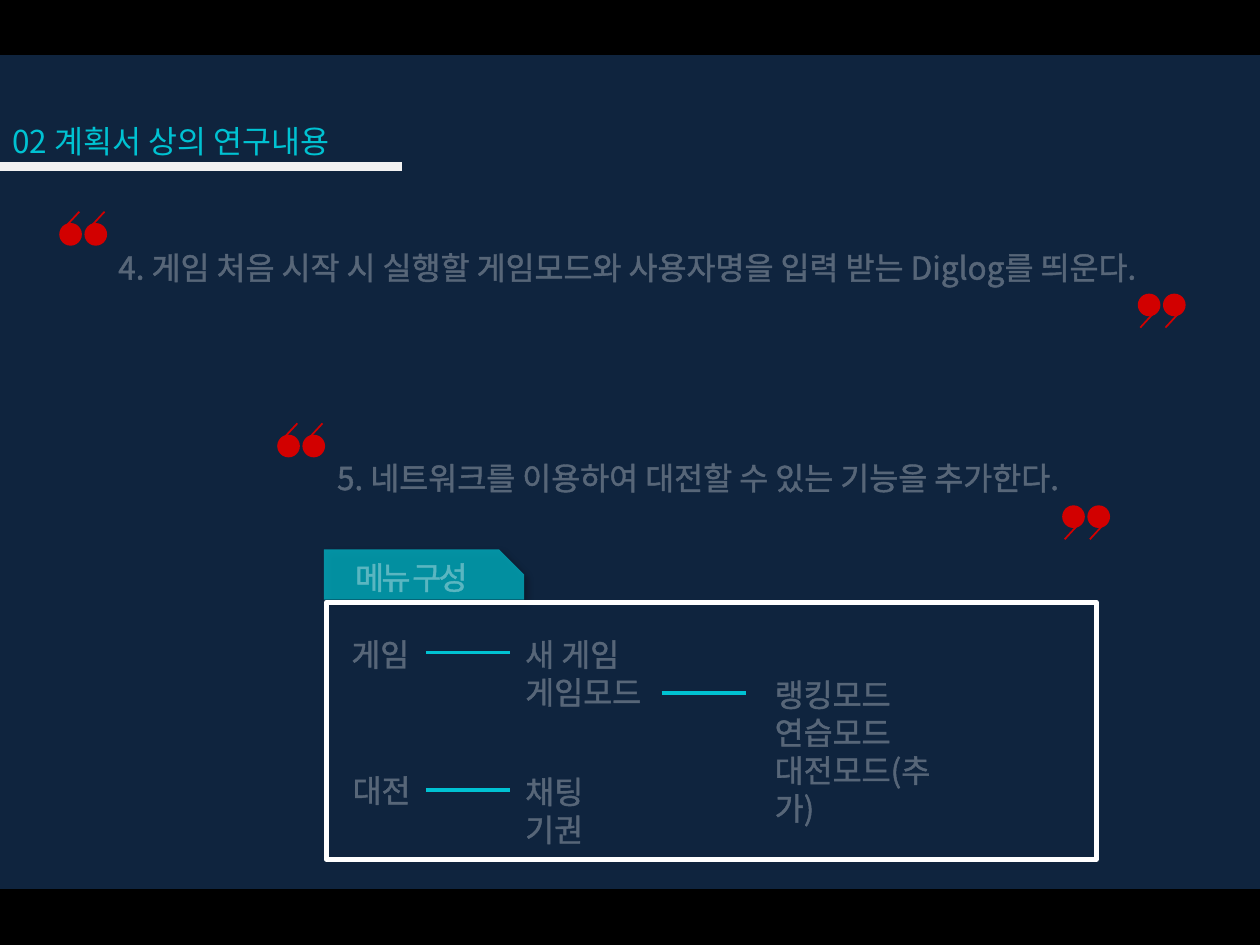
from lxml import etree
from pptx import Presentation
from pptx.dml.color import RGBColor
from pptx.enum.shapes import MSO_CONNECTOR, MSO_SHAPE
from pptx.enum.text import PP_ALIGN
from pptx.oxml import parse_xml
from pptx.oxml.ns import nsdecls, qn
from pptx.util import Inches, Pt

RECT, DOT, TAB = MSO_SHAPE.RECTANGLE, MSO_SHAPE.OVAL, MSO_SHAPE.SNIP_1_RECTANGLE
LINE = MSO_CONNECTOR.STRAIGHT
LEFT, MID, JUST = PP_ALIGN.LEFT, PP_ALIGN.CENTER, PP_ALIGN.JUSTIFY
FONT = "Noto Sans CJK KR"
COLORS = {"navy": "0F243E", "black": "000000", "white": "FFFFFF",
          "cyan": "00C2D2", "red": "D20000", "pale": "F2F2F2"}


def rgb(name):
    return RGBColor.from_string(COLORS[name])


def write(frame, text, color="white", size=18, align=LEFT, alpha=30, track=0):
    """Fill a frame, one paragraph a line, with see-through outlined letters."""
    for i, line in enumerate(text.split("\n")):
        para = frame.paragraphs[0] if i == 0 else frame.add_paragraph()
        para.alignment = align
        para.line_spacing = Pt(size * 1.2)
        run = para.add_run()
        run.text = line
        run.font.size = Pt(size)
        run.font.name = FONT
        run.font.color.rgb = rgb(color)
        props = run.font._element
        if track:
            props.set("spc", str(int(track * 100)))
        props.insert(0, parse_xml(
            f'<a:ln {nsdecls("a")} w="9525"><a:solidFill>'
            f'<a:srgbClr val="{COLORS[color]}"><a:alpha val="{alpha * 1000}"/>'
            '</a:srgbClr></a:solidFill><a:prstDash val="solid"/></a:ln>'))
        props.find(qn("a:latin")).addnext(
            parse_xml(f'<a:ea {nsdecls("a")} typeface="{FONT}"/>'))


class Deck:
    def __init__(self, wide, high):
        self.file = Presentation()
        self.file.slide_width, self.file.slide_height = Inches(wide), Inches(high)
        self.slide = self.file.slides.add_slide(self.file.slide_layouts[6])
        fill = self.slide.background.fill
        fill.solid()
        fill.fore_color.rgb = rgb("navy")

    def shape(self, kind, x, y, w, h, fill=None, line=None, width=1, home=None):
        item = (home or self.slide).shapes.add_shape(
            kind, Inches(x), Inches(y), Inches(w), Inches(h))
        item.shadow.inherit = False
        if fill:
            item.fill.solid()
            item.fill.fore_color.rgb = rgb(fill)
        else:
            item.fill.background()
        if line:
            item.line.color.rgb = rgb(line)
            item.line.width = Pt(width)
        else:
            item.line.fill.background()
        return item

    def line(self, x1, y1, x2, y2, color="cyan", width=2, home=None):
        item = (home or self.slide).shapes.add_connector(
            LINE, Inches(x1), Inches(y1), Inches(x2), Inches(y2))
        item.line.color.rgb = rgb(color)
        item.line.width = Pt(width)
        etree.SubElement(item._element.spPr, qn("a:effectLst"))

    def text(self, x, y, w, h, words, **style):
        box = self.slide.shapes.add_textbox(
            Inches(x), Inches(y), Inches(w), Inches(h))
        box.text_frame.word_wrap = True
        write(box.text_frame, words, **style)

    def quote(self, x, y, close=False):
        """Two dots with tails: up for an opening mark, down for a closing one."""
        group = self.slide.shapes.add_group_shape()
        size, sign = 0.18, -1 if close else 1
        for left in (x, x + 0.2):
            dot = self.shape(DOT, left, y, size, size, "red", home=group)
            dot.rotation = 180 if close else 0
            cx, cy = left + size / 2, y + size / 2
            self.line(cx - sign * 0.05, cy - sign * 0.05,
                      cx + sign * 0.07, cy - sign * 0.18, "red", 1, group)

    def tab(self, x, y, w, h):
        item = self.shape(TAB, x, y, w, h, "cyan")
        item.adjustments[0] = 0.5
        props = item._element.spPr
        tint = props.find(qn("a:solidFill"))[0]
        etree.SubElement(tint, qn("a:alpha"), val="70000")
        props.find(qn("a:effectLst")).append(parse_xml(
            f'<a:outerShdw {nsdecls("a")} blurRad="{Pt(4)}" dist="{Pt(3)}" '
            'dir="2700000" algn="tl" rotWithShape="0"><a:srgbClr val="000000">'
            '<a:alpha val="40000"/></a:srgbClr></a:outerShdw>'))


def main():
    deck = Deck(10, 7.5)

    # Black bands
    for top in (-0.01, 7.07):
        deck.shape(RECT, 0, top, 10, 0.43, "black", "black", 2)

    # Title
    deck.text(0, 0.92, 3.27, 0.4, "02 계획서 상의 연구내용",
              color="cyan", align=JUST, alpha=35)
    deck.line(3.19, 1.32, -0.97, 1.32, "pale", 5)

    # Quoted goals
    deck.text(0.84, 1.92, 8.89, 0.4,
              "4. 게임 처음 시작 시 실행할 게임모드와 사용자명을 입력 받는 Diglog를 띄운다.")
    deck.text(1.92, 3.59, 7.24, 0.4,
              "5. 네트워크를 이용하여 대전할 수 있는 기능을 추가한다.", align=MID)
    for x, y, close in ((0.47, 1.77, False), (9.03, 2.33, True),
                        (2.2, 3.45, False), (8.43, 4.01, True)):
        deck.quote(x, y, close)

    # Menu frame and its tab
    deck.tab(2.57, 4.36, 1.59, 0.4)
    deck.shape(RECT, 2.59, 4.78, 6.11, 2.04, line="white", width=3)
    deck.text(2.72, 4.38, 1.21, 0.4, "메뉴 구성", alpha=35, track=-1.5)

    # Menu tree
    for x, y, w, h, words in (
            (2.69, 4.99, 0.67, 0.4, "게임"),
            (4.07, 4.99, 1.48, 0.71, "새 게임\n게임모드"),
            (6.05, 5.31, 1.71, 1.01, "랭킹모드\n연습모드\n대전모드(추가)"),
            (2.7, 6.07, 0.67, 0.4, "대전"),
            (4.07, 6.08, 1.48, 0.71, "채팅\n기권")):
        deck.text(x, y, w, h, words)
    for x, y in ((3.38, 5.18), (5.25, 5.5), (3.38, 6.27)):
        deck.line(x, y, x + 0.67, y)

    deck.file.save("out.pptx")


if __name__ == "__main__":
    main()
